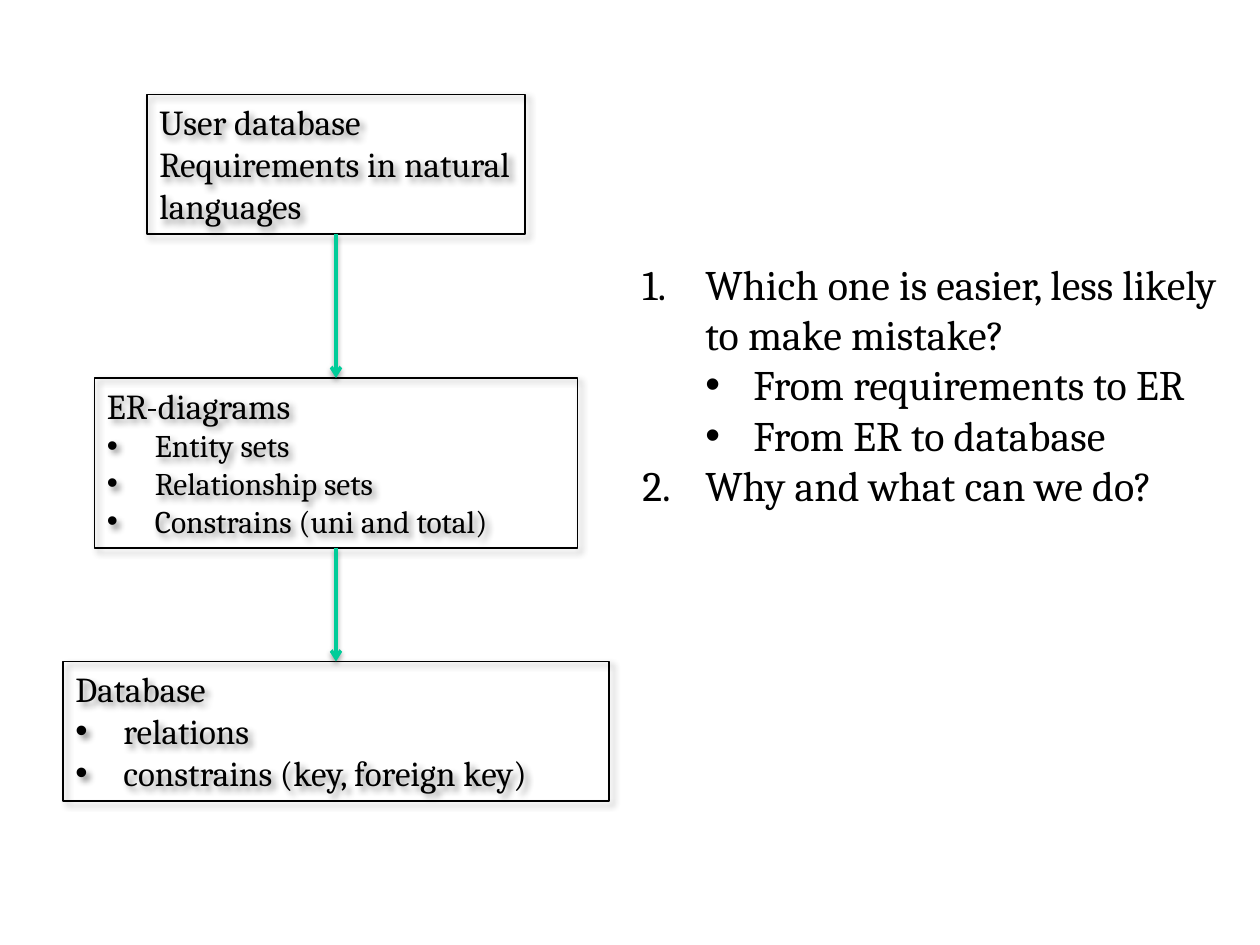
from lxml.etree import SubElement
from pptx import Presentation
from pptx.dml.color import RGBColor
from pptx.enum.shapes import MSO_CONNECTOR as Connector, MSO_SHAPE as Preset
from pptx.enum.text import MSO_ANCHOR as Anchor, PP_ALIGN as Align
from pptx.oxml.ns import qn
from pptx.util import Inches, Pt


def color(value):
    return RGBColor.from_string(value)


def add_xml(parent, tag, **attributes):
    values = {key: str(value) for key, value in attributes.items()}
    return SubElement(parent, qn(tag), values)


class FlowSlide:
    FONT, INK, ARROW = "Cambria", "000000", "00CC99"
    COLUMNS, ROWS = 120, 90

    def __init__(self, deck):
        self.slide = deck.slides.add_slide(deck.slide_layouts[6])
        self.column = deck.slide_width / self.COLUMNS
        self.row = deck.slide_height / self.ROWS

    def place(self, *cells):
        units = (self.column, self.row) * 2
        return [round(cell * unit) for cell, unit in zip(cells, units)]

    def shadow(self, item, alpha, blur, distance, angle):
        effects = add_xml(item._element.spPr, "a:effectLst")
        outer = add_xml(effects, "a:outerShdw", blurRad=Pt(blur), dist=Pt(distance),
                        dir=angle * 60000, algn="ctr", rotWithShape=0)
        tint = add_xml(outer, "a:srgbClr", val=self.INK)
        add_xml(tint, "a:alpha", val=alpha * 1000)

    def add_lines(self, frame, lines):
        frame.word_wrap = True
        frame.vertical_anchor = Anchor.TOP
        for index, (text, size, marker, level, margin, hang) in enumerate(lines):
            paragraph = frame.paragraphs[0] if index == 0 else frame.add_paragraph()
            paragraph.alignment = Align.LEFT
            paragraph.level = level
            run = paragraph.add_run()
            run.text = text
            run.font.name = self.FONT
            run.font.size = Pt(size)
            run.font.color.rgb = color(self.INK)
            if marker:
                props = paragraph._p.get_or_add_pPr()
                props.set("marL", str(Inches(margin)))
                props.set("indent", str(-Inches(hang)))
                if marker == "number":
                    add_xml(props, "a:buFont", typeface="+mj-lt")
                    add_xml(props, "a:buAutoNum", type="arabicPeriod")
                else:
                    add_xml(props, "a:buFont", typeface="Arial")
                    add_xml(props, "a:buChar", char=marker)

    def box(self, center, top, width, height, lines):
        stage = self.slide.shapes.add_shape(
            Preset.RECTANGLE, *self.place(center - width / 2, top, width, height))
        stage.fill.background()
        stage.line.color.rgb = color(self.INK)
        stage.line.width = Pt(0.75)
        self.shadow(stage, 43, 4, 3, 45)
        self.add_lines(stage.text_frame, lines)

    def arrow(self, center, start, end):
        step = self.slide.shapes.add_connector(
            Connector.STRAIGHT, *self.place(center, start, center, end))
        step.line.color.rgb = color(self.ARROW)
        step.line.width = Pt(2)
        add_xml(step._element.spPr.get_or_add_ln(), "a:tailEnd", type="arrow")
        self.shadow(step, 38, 3.1, 1.6, 90)

    def text(self, left, top, width, height, lines):
        area = self.slide.shapes.add_textbox(*self.place(left, top, width, height))
        self.add_lines(area.text_frame, lines)


def plain(text, size=20):
    return text, size, None, 0, 0, 0


def bullet(text, size=20, level=0):
    return text, size, "•", level, 0.38 + level * 0.5, 0.38


def numbered(text, size=24):
    return text, size, "number", 0, 0.5, 0.5


deck = Presentation()
deck.slide_width, deck.slide_height = Inches(10), Inches(7.5)
flow = FlowSlide(deck)

AXIS = 32
stages = [
    (9, 36, 13.3, [plain("User database Requirements in natural languages")]),
    (36, 46, 16.2, [plain("ER-diagrams")] + [
        bullet(part, 18)
        for part in ("Entity sets", "Relationship sets", "Constrains (uni and total)")]),
    (63, 52, 13.3, [plain("Database"), bullet("relations"),
                    bullet("constrains (key, foreign key)")]),
]
for top, width, height, lines in stages:
    flow.box(AXIS, top, width, height, lines)
for (top, _, height, _), (next_top, *_) in zip(stages, stages[1:]):
    flow.arrow(AXIS, top + height, next_top)

flow.text(60, 24, 58, 25.4, [
    numbered("Which one is easier, less likely to make mistake?"),
    bullet("From requirements to ER", 24, level=1),
    bullet("From ER to database", 24, level=1),
    numbered("Why and what can we do?"),
])

deck.save("out.pptx")
